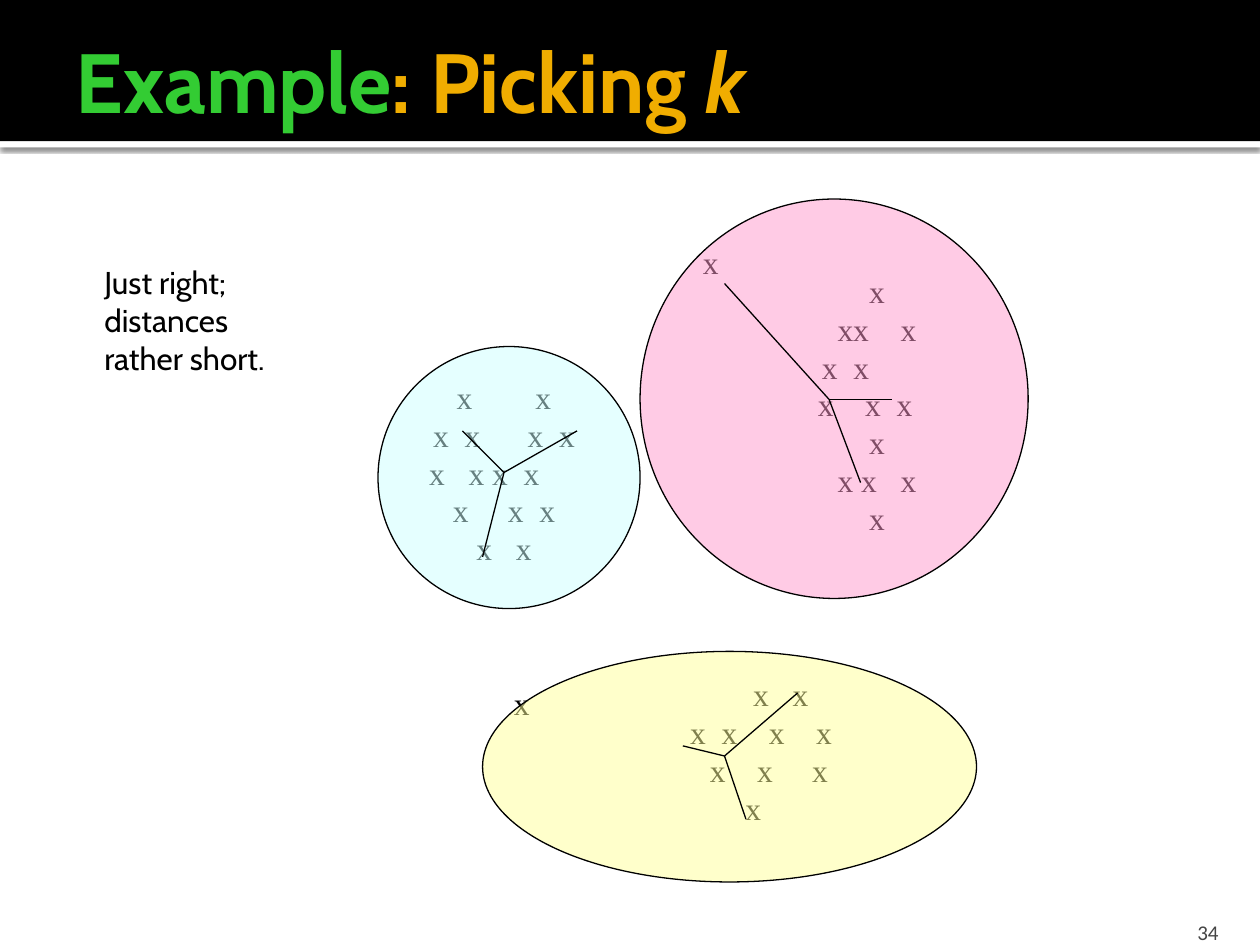
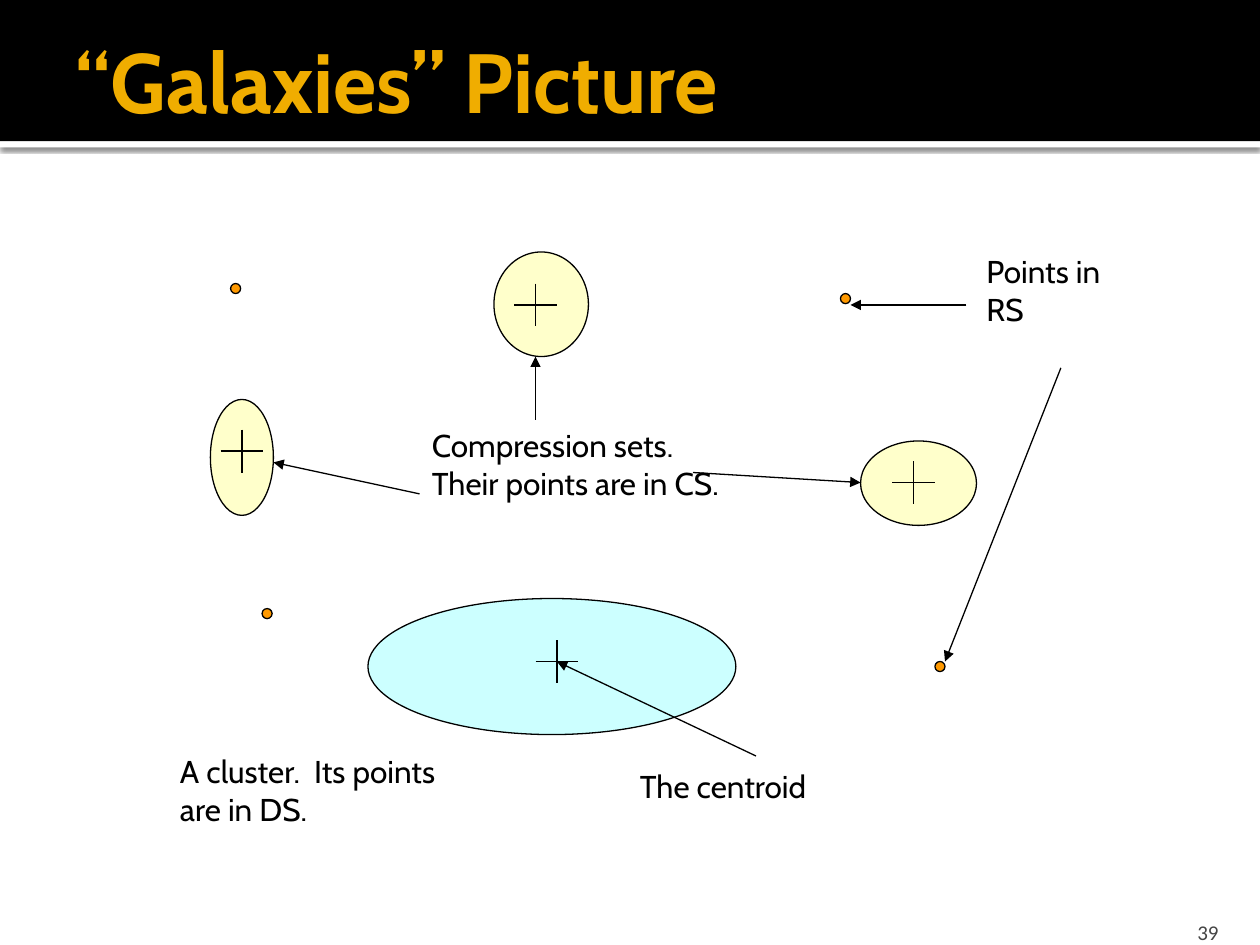
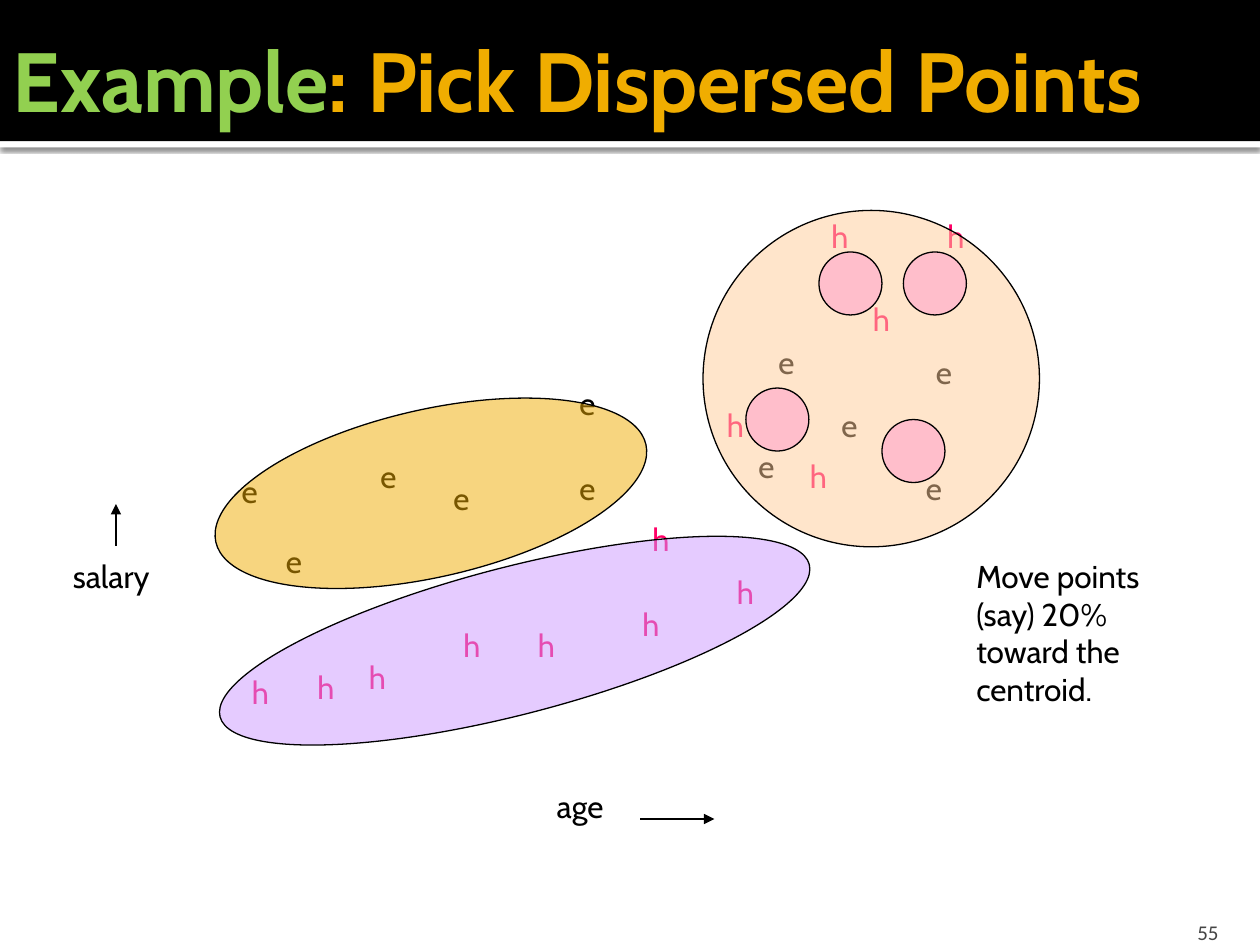
from itertools import product
from typing import NamedTuple, Optional, Sequence

from lxml.etree import SubElement
from pptx import Presentation
from pptx.dml.color import RGBColor
from pptx.enum.shapes import MSO_CONNECTOR, MSO_SHAPE
from pptx.enum.text import MSO_ANCHOR as Anchor, PP_ALIGN as Align
from pptx.oxml.ns import qn
from pptx.shapes.autoshape import Shape
from pptx.slide import Slide
from pptx.text.text import _Paragraph as Paragraph
from pptx.util import Inches, Pt

BLACK = RGBColor(0x00, 0x00, 0x00)
WHITE = RGBColor(0xFF, 0xFF, 0xFF)
GRAY = RGBColor(0x45, 0x45, 0x45)
GOLD = RGBColor(0xF0, 0xAD, 0x00)
GREEN = RGBColor(0x33, 0xCC, 0x33)
LIME = RGBColor(0x92, 0xD0, 0x50)
YELLOW = RGBColor(0xFF, 0xFF, 0x99)
CYAN = RGBColor(0xCC, 0xFF, 0xFF)
PINK = RGBColor(0xFF, 0x99, 0xCC)
PEACH = RGBColor(0xFF, 0xCC, 0x99)
LILAC = RGBColor(0xCC, 0x99, 0xFF)
ORANGE = RGBColor(0xFF, 0x99, 0x00)
CRIMSON = RGBColor(0xFF, 0x00, 0x66)

HEADING_FONT = "Cabin"
NUMBER_FONT = "Calibri"
POINT_FONT = "Times New Roman"
BODY_SIZE = 18
LINE_WIDTH = Pt(0.75)
POINT_LINE = Pt(21.6)
COLUMN = 1 / 16  # half the width of one "x"
FIELD_WIDTH = 2.0
CROSS_ARM = 0.17
DOT_SIZE = 0.08
REPRESENTATIVE_SIZE = 0.5

Spot = tuple[float, float]


class Box(NamedTuple):
    left: float
    top: float
    width: float
    height: float


class TitlePart(NamedTuple):
    text: str
    color: RGBColor = GOLD
    italic: bool = False


class Label(NamedTuple):
    box: Box
    lines: Sequence[str]


class Oval(NamedTuple):
    box: Box
    color: RGBColor
    alpha: Optional[int] = 50
    rotation: float = 0


class Arrow(NamedTuple):
    start: Spot
    end: Spot


class PointField(NamedTuple):
    """Rows of x marks; columns count from the centre in units of COLUMN."""
    center: Spot
    rows: Sequence[Sequence[float]]


class Star(NamedTuple):
    """A centroid with lines to some of its points."""
    center: Spot
    ends: Sequence[Spot]


TITLE_BOX = Box(0.5, 0.17, 9.5, 0.92)
WIDE_TITLE_BOX = Box(0, 0, 10, 1.25)

POINT_FIELDS = [
    PointField((4, 3.75), [(-6, 4), (-9, -5, 3, 7), (-9.5, -4.5, -1.5, 2.5),
                           (-6.5, 0.5, 4.5), (-3.5, 1.5)]),
    PointField((6.96, 3.21), [(-1,), (-5, -3, 3), (-7, -3), (-7.5, -1.5, 2.5),
                              (-1,), (-5, -2, 3), (-1,)]),
    PointField((6.04, 5.96), [(-1, 4), (-9, -5, 1, 7), (-6.5, -0.5, 6.5), (-2,)]),
]
OUTLIERS = [(5.48, 1.88), (3.98, 5.38)]
K_CLUSTERS = [
    Oval(Box(3.83, 5.17, 3.92, 1.83), YELLOW),
    Oval(Box(3, 2.75, 2.08, 2.08), CYAN),
    Oval(Box(5.08, 1.58, 3.08, 3.17), PINK),
]
STARS = [
    Star((4, 3.75), [(3.67, 3.42), (4.58, 3.42), (3.83, 4.42)]),
    Star((5.75, 6), [(5.42, 5.92), (6.33, 5.5), (5.92, 6.5)]),
    Star((6.58, 3.17), [(5.75, 2.25), (7.08, 3.17), (6.83, 3.83)]),
]

GALAXIES = [
    Oval(Box(2.92, 4.75, 2.92, 1.08), CYAN, None),
    Oval(Box(1.67, 3.17, 0.5, 0.92), YELLOW),
    Oval(Box(6.83, 3.5, 0.92, 0.67), YELLOW),
    Oval(Box(3.92, 2, 0.75, 0.83), YELLOW),
]
CENTROIDS = [(4.42, 5.25), (1.92, 3.58), (7.25, 3.83), (4.25, 2.42)]
RETAINED_POINTS = [(1.83, 2.25), (2.08, 4.83), (7.42, 5.25), (6.67, 2.33)]
GALAXY_LABELS = [
    Label(Box(1.33, 5.92, 2.41, 0.71), ["A cluster.  Its points", "are in DS."]),
    Label(Box(4.98, 6.04, 2.05, 0.5), ["The centroid"]),
    Label(Box(3.33, 3.33, 2.5, 0.71), ["Compression sets.", "Their points are in CS."]),
    Label(Box(7.73, 1.95, 1.4, 0.7), ["Points in RS"]),
]
GALAXY_ARROWS = [
    Arrow((6, 6), (4.42, 5.25)),
    Arrow((3.33, 3.92), (2.17, 3.67)),
    Arrow((4.25, 3.33), (4.25, 2.83)),
    Arrow((5.5, 3.75), (6.83, 3.83)),
    Arrow((7.67, 2.42), (6.75, 2.42)),
    Arrow((8.42, 2.92), (7.5, 5.25)),
]

E_POINTS = [(1.82, 3.7), (3.5, 3.75), (4.5, 3), (5.92, 3.5), (6.08, 2.67), (7.33, 2.75),
            (2.17, 4.25), (2.92, 3.58), (4.5, 3.67), (6.58, 3.17), (7.25, 3.67)]
H_POINTS = [(1.9, 5.29), (5.67, 3.17), (5.75, 4.5), (6.33, 3.58), (6.83, 2.33),
            (7.42, 1.67), (3.58, 4.92), (4.17, 4.92), (5.08, 4.08), (5, 4.75),
            (6.5, 1.67), (2.42, 5.25), (2.83, 5.17)]
AXIS_LABELS = [
    Label(Box(0.48, 4.37, 1.06, 0.5), ["salary"]),
    Label(Box(4.32, 6.2, 0.74, 0.5), ["age"]),
]
AXIS_ARROWS = [Arrow((5.08, 6.5), (5.67, 6.5)), Arrow((0.92, 4.33), (0.92, 4))]
SALARY_CLUSTERS = [
    Oval(Box(1.67, 3.25, 3.5, 1.33), GOLD, rotation=347.2),
    Oval(Box(5.58, 1.67, 2.67, 2.67), PEACH),
    Oval(Box(1.67, 4.5, 4.83, 1.17), LILAC, rotation=345.5),
]
REPRESENTATIVES = [(6.5, 2), (7.17, 2), (5.92, 3.08), (7, 3.33)]
MOVE_NOTE = Label(Box(7.65, 4.37, 1.97, 1.7),
                  ["Move points", "(say) 20%", "toward the", "centroid."])


def set_font(paragraph: Paragraph, name: str, size: float,
             color: Optional[RGBColor] = BLACK) -> None:
    paragraph.font.name = name
    paragraph.font.size = Pt(size)
    if color is not None:
        paragraph.font.color.rgb = color


def add_shape(slide: Slide, kind: MSO_SHAPE, box: Box, color: RGBColor) -> Shape:
    shape = slide.shapes.add_shape(kind, *map(Inches, box))
    shape.shadow.inherit = False
    shape.fill.solid()
    shape.fill.fore_color.rgb = color
    return shape


def add_text(slide: Slide, box: Box, lines: Sequence[str], font: str = HEADING_FONT,
             color: RGBColor = BLACK, size: float = BODY_SIZE) -> Shape:
    text_box = slide.shapes.add_textbox(*map(Inches, box))
    frame = text_box.text_frame
    frame.word_wrap = True
    frame.text = "\n".join(lines)
    for paragraph in frame.paragraphs:
        set_font(paragraph, font, size, color)
    return text_box


def add_labels(slide: Slide, labels: Sequence[Label]) -> None:
    for label in labels:
        add_text(slide, label.box, label.lines)


def add_letters(slide: Slide, letter: str, spots: Sequence[Spot], color: RGBColor) -> None:
    for spot in spots:
        add_text(slide, Box(*spot, 0.39, 0.5), [letter], color=color)


def add_oval(slide: Slide, oval: Oval) -> None:
    shape = add_shape(slide, MSO_SHAPE.OVAL, oval.box, oval.color)
    shape.line.color.rgb = BLACK
    shape.line.width = LINE_WIDTH
    shape.rotation = oval.rotation
    if oval.alpha is not None:
        color = shape.element.spPr.find(qn("a:solidFill")).find(qn("a:srgbClr"))
        SubElement(color, qn("a:alpha"), val=str(oval.alpha * 1000))


def add_line(slide: Slide, start: Spot, end: Spot, arrow: bool = False) -> None:
    line = slide.shapes.add_connector(MSO_CONNECTOR.STRAIGHT, *map(Inches, (*start, *end)))
    line.line.color.rgb = BLACK
    line.line.width = LINE_WIDTH
    if arrow:
        SubElement(line.line._get_or_add_ln(), qn("a:tailEnd"), type="triangle")
    SubElement(line.element.spPr, qn("a:effectLst"))


def add_arrows(slide: Slide, arrows: Sequence[Arrow]) -> None:
    for arrow in arrows:
        add_line(slide, arrow.start, arrow.end, arrow=True)


def add_cross(slide: Slide, center: Spot) -> None:
    x, y = center
    add_line(slide, (x, y - CROSS_ARM), (x, y + CROSS_ARM))
    add_line(slide, (x - CROSS_ARM, y), (x + CROSS_ARM, y))


def add_point_row(paragraph: Paragraph, columns: Sequence[float]) -> None:
    """Writes one x per column at a tab stop; touching marks need no tab."""
    tabs = SubElement(paragraph._p.get_or_add_pPr(), qn("a:tabLst"))
    text, previous = "", None
    for column in columns:
        if previous is None or column - previous > 2:
            stop = Inches(FIELD_WIDTH / 2 + column * COLUMN)
            SubElement(tabs, qn("a:tab"), pos=str(stop), algn="l")
            text += "\t"
        text += "x"
        previous = column
    paragraph.add_run().text = text
    paragraph.line_spacing = POINT_LINE
    set_font(paragraph, POINT_FONT, BODY_SIZE)


def add_point_field(slide: Slide, field: PointField) -> None:
    x, y = field.center
    height = POINT_LINE.inches * len(field.rows)
    box = Box(x - FIELD_WIDTH / 2, y - height / 2, FIELD_WIDTH, height)
    frame = slide.shapes.add_textbox(*map(Inches, box)).text_frame
    frame.word_wrap = True
    frame.vertical_anchor = Anchor.MIDDLE
    frame.margin_left = frame.margin_right = frame.margin_top = frame.margin_bottom = 0
    for index, columns in enumerate(field.rows):
        add_point_row(frame.add_paragraph() if index else frame.paragraphs[0], columns)


def add_bands(slide: Slide) -> None:
    strip = add_shape(slide, MSO_SHAPE.RECTANGLE, Box(0, 1.12, 10, 0.05), WHITE)
    strip.line.fill.background()
    shadow = SubElement(strip.element.spPr.find(qn("a:effectLst")), qn("a:outerShdw"),
                        blurRad=str(Pt(2.5)), dist=str(Pt(0.8)), dir="5400000",
                        algn="tl", rotWithShape="0")
    SubElement(SubElement(shadow, qn("a:srgbClr"), val=str(BLACK)),
               qn("a:alpha"), val="60000")
    band = add_shape(slide, MSO_SHAPE.RECTANGLE, Box(0, 0, 10, 1.12), BLACK)
    band.line.fill.background()


def add_title(slide: Slide, parts: Sequence[TitlePart], box: Box) -> None:
    frame = slide.shapes.add_textbox(*map(Inches, box)).text_frame
    frame.word_wrap = True
    frame.vertical_anchor = Anchor.MIDDLE
    frame.margin_right = Inches(0.05)
    paragraph = frame.paragraphs[0]
    set_font(paragraph, HEADING_FONT, 48, None)
    paragraph.font.bold = True
    for part in parts:
        run = paragraph.add_run()
        run.text = part.text
        run.font.color.rgb = part.color
        if part.italic:
            run.font.italic = True


def add_page_number(slide: Slide, number: int) -> None:
    frame = add_text(slide, Box(8.97, 7.2, 0.8, 0.3), [str(number)],
                     NUMBER_FONT, GRAY, 12).text_frame
    frame.vertical_anchor = Anchor.BOTTOM
    frame.margin_bottom = 0
    frame.paragraphs[0].alignment = Align.RIGHT


def new_slide(deck: Presentation, number: int, title: Sequence[TitlePart],
              title_box: Box = TITLE_BOX) -> Slide:
    slide = deck.slides.add_slide(deck.slide_layouts[6])
    add_bands(slide)
    add_page_number(slide, number)
    add_title(slide, title, title_box)
    return slide


def build_picking_k(deck: Presentation) -> None:
    slide = new_slide(deck, 34, [TitlePart("Example", GREEN), TitlePart(": Picking "),
                                 TitlePart("k", italic=True)])
    for field in POINT_FIELDS:
        add_point_field(slide, field)
    for spot in OUTLIERS:
        outlier = add_text(slide, Box(*spot, 0.37, 0.5), ["x"], POINT_FONT)
        outlier.text_frame.paragraphs[0].line_spacing = POINT_LINE
    for cluster in K_CLUSTERS:
        add_oval(slide, cluster)
    for star in STARS:
        for end in star.ends:
            add_line(slide, star.center, end)
    add_text(slide, Box(0.73, 2.04, 2.04, 1.3), ["Just right;", "distances", "rather short."])


def build_galaxies(deck: Presentation) -> None:
    slide = new_slide(deck, 39, [TitlePart("“Galaxies” Picture")])
    for galaxy in GALAXIES:
        add_oval(slide, galaxy)
    for center in CENTROIDS:
        add_cross(slide, center)
    for spot in RETAINED_POINTS:
        add_oval(slide, Oval(Box(*spot, DOT_SIZE, DOT_SIZE), ORANGE, None))
    add_labels(slide, GALAXY_LABELS)
    add_arrows(slide, GALAXY_ARROWS)


def build_dispersed_points(deck: Presentation) -> None:
    slide = new_slide(deck, 55, [TitlePart("Example", LIME),
                                 TitlePart(": Pick Dispersed Points")], WIDE_TITLE_BOX)
    add_letters(slide, "e", E_POINTS, BLACK)
    add_letters(slide, "h", H_POINTS, CRIMSON)
    add_labels(slide, AXIS_LABELS)
    add_arrows(slide, AXIS_ARROWS)
    for cluster in SALARY_CLUSTERS:
        add_oval(slide, cluster)
    for spot in REPRESENTATIVES:
        add_oval(slide, Oval(Box(*spot, REPRESENTATIVE_SIZE, REPRESENTATIVE_SIZE), PINK))
    add_labels(slide, [MOVE_NOTE])


def main() -> None:
    deck = Presentation()
    deck.slide_width, deck.slide_height = Inches(10), Inches(7.5)
    build_picking_k(deck)
    build_galaxies(deck)
    build_dispersed_points(deck)
    deck.save("out.pptx")


if __name__ == "__main__":
    main()
